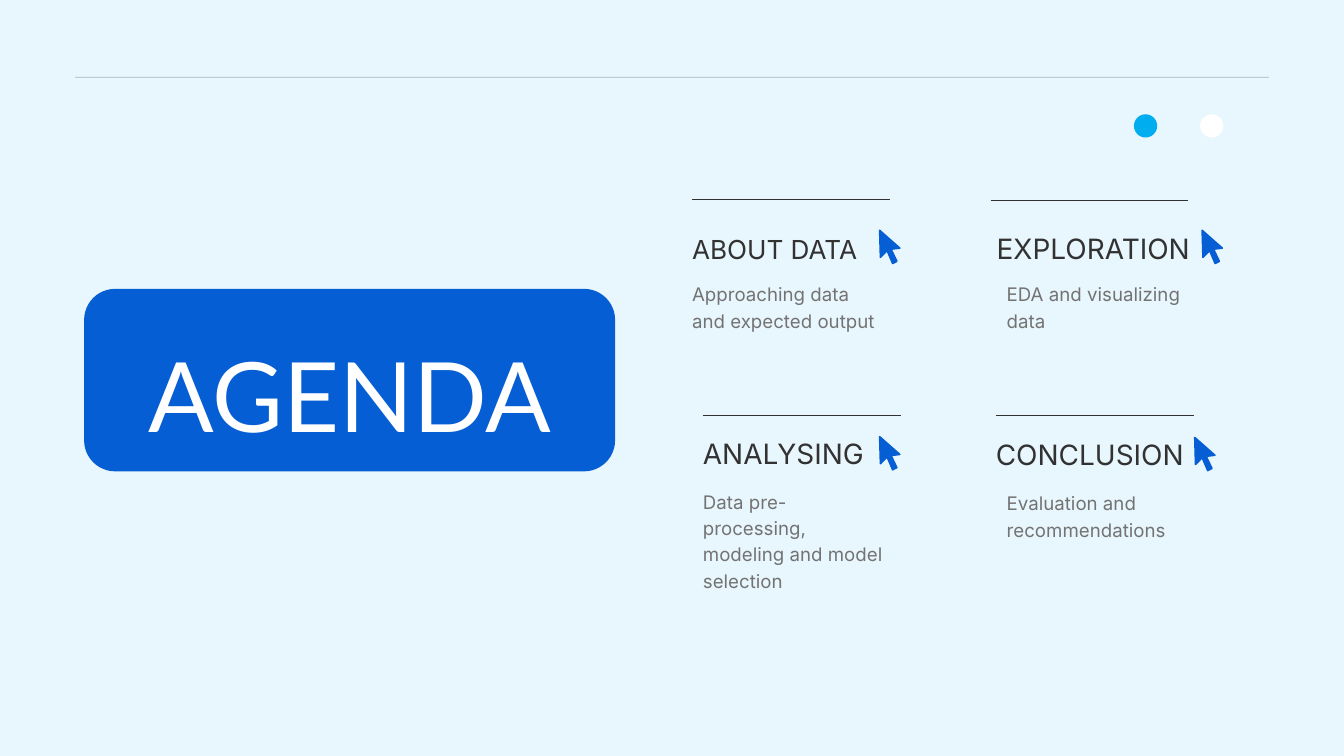
import dataclasses

import lxml.etree
import pptx
import pptx.dml.color
import pptx.enum.shapes
import pptx.enum.text
import pptx.oxml.ns
import pptx.util

Cm = pptx.util.Cm
Pt = pptx.util.Pt
Shapes = pptx.enum.shapes.MSO_SHAPE
Align = pptx.enum.text.PP_ALIGN


@dataclasses.dataclass(frozen=True)
class Theme:
    background: str = "E8F6FD"
    accent: str = "065ED4"
    sky: str = "00ADEF"
    white: str = "FFFFFF"
    ink: str = "323232"
    muted: str = "737373"
    heading_font: str = "Lato"
    body_font: str = "Inter"
    banner_size: int = 104
    title_size: int = 30
    small_title_size: int = 28
    body_size: int = 20
    leading: float = 1.4
    rule_weight: float = 0.75
    pointer_weight: float = 1.75


THEME = Theme()


@dataclasses.dataclass(frozen=True)
class Topic:
    title: str
    body: str
    rule: tuple
    pointer: tuple
    title_at: tuple
    body_at: tuple
    body_height: float = 1.96
    title_size: int = THEME.title_size


TOPICS = [
    Topic("ABOUT DATA", "Approaching data and expected output",
          (26.16, 7.54), (33.25, 8.71), (26.16, 8.64), (26.16, 10.57),
          title_size=THEME.small_title_size),
    Topic("EXPLORATION", "EDA and visualizing data",
          (37.44, 7.57), (45.44, 8.71), (37.67, 8.53), (38.05, 10.57)),
    Topic("ANALYSING", "Data pre-processing, modeling and model selection",
          (26.57, 15.7), (33.25, 16.51), (26.57, 16.28), (26.57, 18.42),
          body_height=3.91),
    Topic("CONCLUSION", "Evaluation and recommendations",
          (37.64, 15.72), (45.16, 16.54), (37.64, 16.33), (38.05, 18.47)),
]

POINTER_OUTLINE = [(0.76, 0.67), (0, 0), (0.03, 1.02), (0.28, 0.76),
                   (0.49, 1.25), (0.65, 1.17), (0.43, 0.71)]


def rgb(color):
    return pptx.dml.color.RGBColor.from_string(color)


def paint(shape, color):
    shape.shadow.inherit = False
    shape.fill.solid()
    shape.fill.fore_color.rgb = rgb(color)
    shape.line.fill.background()


def add_filled_shape(slide, kind, left, top, width, height, color):
    shape = slide.shapes.add_shape(kind, Cm(left), Cm(top), Cm(width), Cm(height))
    paint(shape, color)
    return shape


def add_rule(slide, left, top, width, color, opacity=None):
    rule = slide.shapes.add_connector(
        pptx.enum.shapes.MSO_CONNECTOR.STRAIGHT,
        Cm(left), Cm(top), Cm(left + width), Cm(top))
    rule.line.width = Pt(THEME.rule_weight)
    rule.line.color.rgb = rgb(color)
    qn = pptx.oxml.ns.qn
    properties = rule._element.spPr
    lxml.etree.SubElement(properties, qn("a:effectLst"))
    if opacity is not None:
        color_element = properties.find(".//" + qn("a:srgbClr"))
        alpha = lxml.etree.SubElement(color_element, qn("a:alpha"))
        alpha.set("val", str(opacity * 1000))


def add_pointer(slide, left, top):
    points = [(Cm(left + x), Cm(top + y)) for x, y in POINTER_OUTLINE]
    builder = slide.shapes.build_freeform(*points[0])
    builder.add_line_segments(points[1:], close=True)
    pointer = builder.convert_to_shape()
    paint(pointer, THEME.accent)
    pointer.line.color.rgb = rgb(THEME.accent)
    pointer.line.width = Pt(THEME.pointer_weight)


def add_text(slide, text, *, left, top, width, height, size, color,
             font=THEME.body_font, align=Align.LEFT):
    box = slide.shapes.add_textbox(Cm(left), Cm(top), Cm(width), Cm(height))
    frame = box.text_frame
    frame.word_wrap = True
    frame.auto_size = pptx.enum.text.MSO_AUTO_SIZE.SHAPE_TO_FIT_TEXT
    frame.margin_left = frame.margin_right = 0
    frame.margin_top = frame.margin_bottom = 0
    paragraph = frame.paragraphs[0]
    paragraph.alignment = align
    paragraph.line_spacing = Pt(size * THEME.leading)
    run = paragraph.add_run()
    run.text = text
    run.font.name = font
    run.font.size = Pt(size)
    run.font.color.rgb = rgb(color)


def add_banner(slide):
    banner = add_filled_shape(slide, Shapes.ROUNDED_RECTANGLE,
                              3.18, 10.92, 20.07, 6.9, THEME.accent)
    banner.adjustments[0] = 0.17
    add_text(slide, "AGENDA", left=4.95, top=11.94, width=16.56, height=4.98,
             size=THEME.banner_size, color=THEME.white,
             font=THEME.heading_font, align=Align.CENTER)


def add_topic(slide, topic):
    add_rule(slide, *topic.rule, 7.48, THEME.ink)
    add_pointer(slide, *topic.pointer)
    left, top = topic.title_at
    add_text(slide, topic.title, left=left, top=top, width=8.59, height=1.45,
             size=topic.title_size, color=THEME.ink)
    left, top = topic.body_at
    add_text(slide, topic.body, left=left, top=top, width=7.06,
             height=topic.body_height, size=THEME.body_size, color=THEME.muted)


def main():
    presentation = pptx.Presentation()
    presentation.slide_width = Cm(50.8)
    presentation.slide_height = Cm(28.58)
    slide = presentation.slides.add_slide(presentation.slide_layouts[6])
    slide.background.fill.solid()
    slide.background.fill.fore_color.rgb = rgb(THEME.background)

    add_banner(slide)
    for topic in TOPICS:
        add_topic(slide, topic)
    for left, color in ((42.86, THEME.sky), (45.36, THEME.white)):
        add_filled_shape(slide, Shapes.OVAL, left, 4.32, 0.88, 0.88, color)
    add_rule(slide, 2.84, 2.92, 45.12, THEME.muted, opacity=50)

    presentation.save("out.pptx")


if __name__ == "__main__":
    main()
